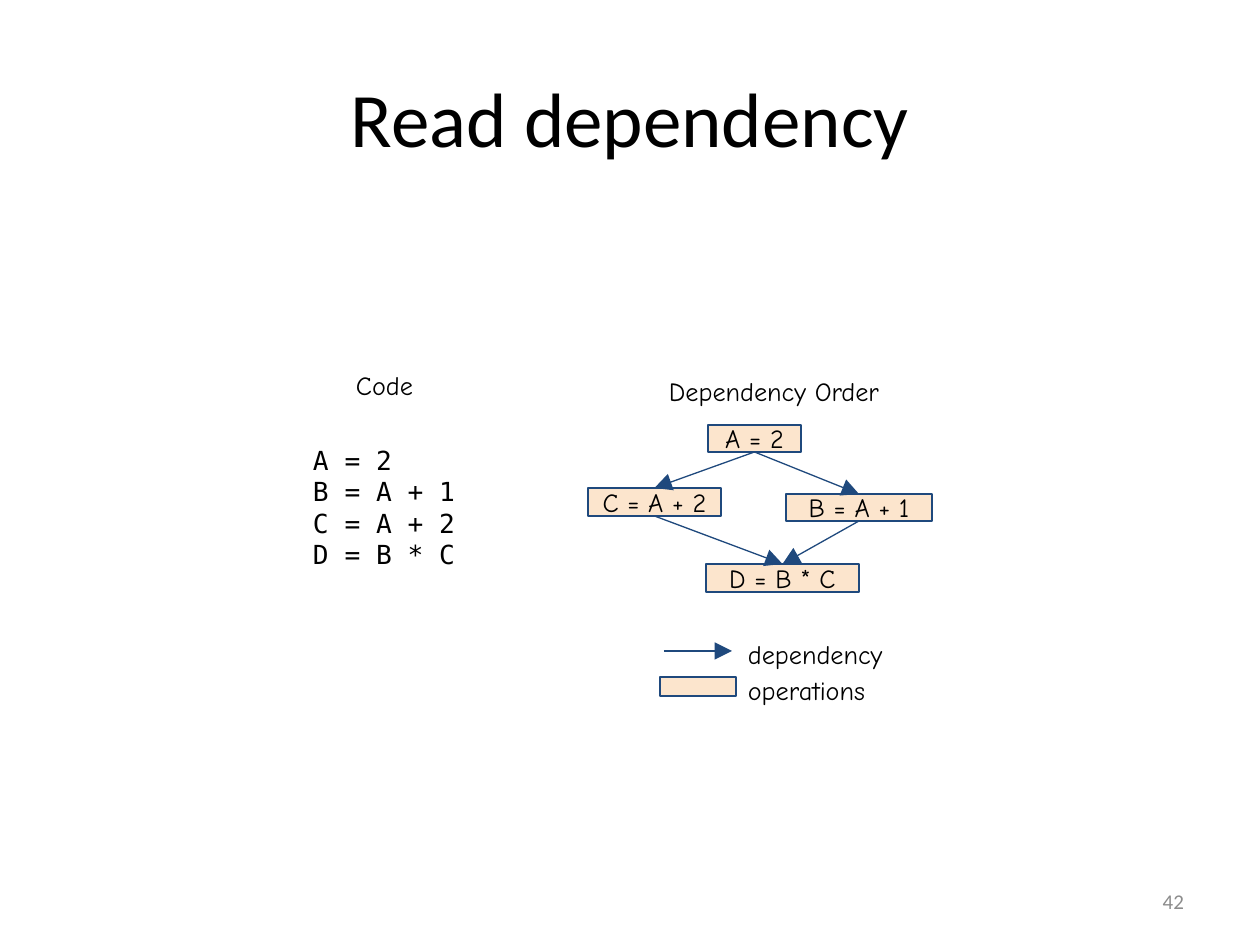
"""Build the slide that shows the read dependencies of four statements."""
from lxml import etree
from pptx import Presentation
from pptx import util as u
from pptx.dml.color import RGBColor
from pptx.enum import shapes, text
from pptx.oxml.ns import qn

COLOURS = {"ink": "000000", "line": "1F497D", "fill": "FCE5CD", "grey": "8C8C8C"}
HAND, MONO, SANS = "Comic Neue", "DejaVu Sans Mono", "Calibri"
LEFT, CENTRE, RIGHT = text.PP_ALIGN.LEFT, text.PP_ALIGN.CENTER, text.PP_ALIGN.RIGHT
TOP, MIDDLE = text.MSO_ANCHOR.TOP, text.MSO_ANCHOR.MIDDLE
PX = u.Inches(1) / 126

TITLE = ("Read dependency", (63, 38, 1134, 157))
CODE = ["A = 2", "B = A + 1", "C = A + 2", "D = B * C"]
OPERATIONS = {
    "A": (708, 425, 93, 27),
    "B": (786, 494, 146, 27),
    "C": (588, 488, 133, 28),
    "D": (706, 564, 153, 28),
}
DEPENDENCIES = [("A", "B"), ("A", "C"), ("B", "D"), ("C", "D")]
LABELS = [
    ("Code", (347, 360, 135, 40), 1.0),
    ("Dependency Order", (660, 360, 272, 38), 1.2),
    ("dependency", (739, 623, 204, 38), 1.2),
    ("operations", (739, 659, 204, 38), 1.2),
]
CODE_PLACE = (304, 435, 185, 106)
KEY_ARROW = (664, 651, 732, 651)
KEY_BOX = (660, 677, 76, 19)
NUMBER = ("42", (903, 876, 294, 50))


def emu(lengths):
    return [u.Emu(round(length * PX)) for length in lengths]


def colour(name):
    return RGBColor.from_string(COLOURS[name])


def write(shape, lines, font=HAND, size=15, ink="ink", align=LEFT, anchor=TOP,
          inset=9, spacing=1.0):
    frame = shape.text_frame
    side = emu([inset])[0]
    layout = {"word_wrap": True, "vertical_anchor": anchor,
              "auto_size": text.MSO_AUTO_SIZE.NONE,
              "margin_left": side, "margin_right": side,
              "margin_top": side, "margin_bottom": side}
    for name, value in layout.items():
        setattr(frame, name, value)
    for index, line in enumerate(lines):
        para = frame.add_paragraph() if index else frame.paragraphs[0]
        para.alignment, para.line_spacing = align, spacing
        span = para.add_run()
        span.text = line
        for name, value in {"name": font, "size": u.Pt(size)}.items():
            setattr(span.font, name, value)
        span.font.color.rgb = colour(ink)


def add_label(page, lines, place, **style):
    write(page.shapes.add_textbox(*emu(place)), lines, **style)


def outline(shape):
    shape.line.color.rgb = colour("line")
    shape.line.width = u.Pt(0.75)


def add_box(page, place):
    box = page.shapes.add_shape(shapes.MSO_SHAPE.RECTANGLE, *emu(place))
    box.shadow.inherit = False
    box.fill.solid()
    box.fill.fore_color.rgb = colour("fill")
    outline(box)
    return box


def add_arrow(page, ends):
    arrow = page.shapes.add_connector(shapes.MSO_CONNECTOR.STRAIGHT, *emu(ends))
    outline(arrow)
    etree.SubElement(arrow.line._get_or_add_ln(), qn("a:tailEnd"),
                     type="triangle", w="lg", len="lg")
    etree.SubElement(arrow._element.spPr, qn("a:effectLst"))
    return arrow


def main():
    deck = Presentation()
    deck.slide_width, deck.slide_height = emu((1260, 945))
    page = deck.slides.add_slide(deck.slide_layouts[5])

    heading, place = TITLE
    title = page.shapes.title
    for name, value in zip(("left", "top", "width", "height"), emu(place)):
        setattr(title, name, value)
    write(title, [heading], font=SANS, size=44, align=CENTRE, anchor=MIDDLE)

    boxes = {}
    for (name, place), line in zip(OPERATIONS.items(), CODE):
        boxes[name] = add_box(page, place)
        write(boxes[name], [line], align=CENTRE, anchor=MIDDLE)
    for source, target in DEPENDENCIES:
        arrow = add_arrow(page, (0, 0, 0, 0))
        arrow.begin_connect(boxes[source], 2)
        arrow.end_connect(boxes[target], 0)

    add_arrow(page, KEY_ARROW)
    add_box(page, KEY_BOX)
    for label, place, spacing in LABELS:
        add_label(page, [label], place, spacing=spacing)
    add_label(page, CODE, CODE_PLACE, font=MONO)
    number, place = NUMBER
    add_label(page, [number], place, font=SANS, size=12, ink="grey",
              align=RIGHT, anchor=MIDDLE, inset=13)
    deck.save("out.pptx")


if __name__ == "__main__":
    main()
